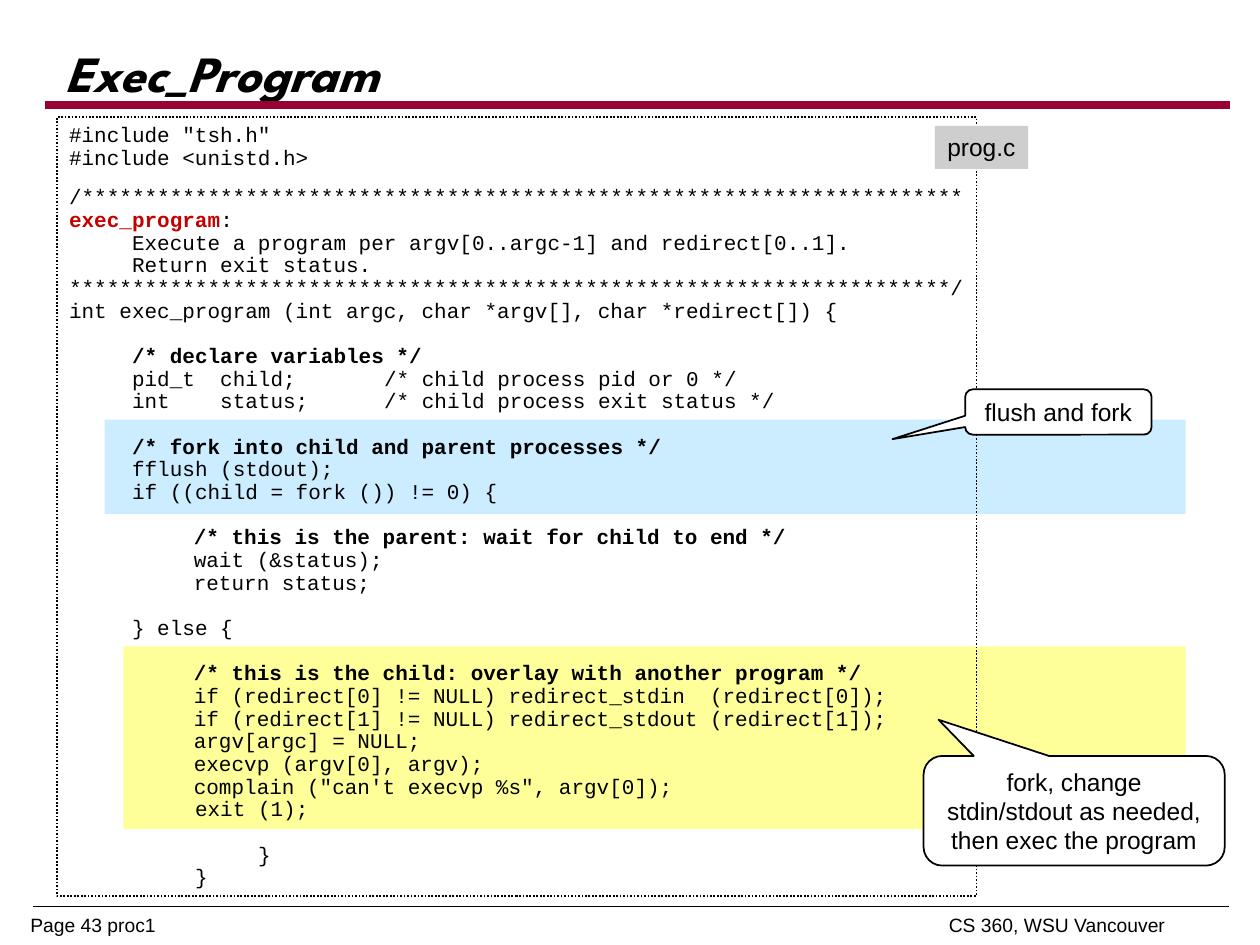
from dataclasses import dataclass

from lxml import etree
from pptx import Presentation
from pptx.dml.color import RGBColor
from pptx.enum.dml import MSO_LINE
from pptx.enum.shapes import MSO_CONNECTOR, MSO_SHAPE
from pptx.enum.text import MSO_ANCHOR, PP_ALIGN
from pptx.oxml.ns import qn
from pptx.util import Inches, Pt

BLACK = RGBColor(0x00, 0x00, 0x00)
WHITE = RGBColor(0xFF, 0xFF, 0xFF)
MAROON = RGBColor(0x99, 0x00, 0x33)
RED = RGBColor(0xC5, 0x00, 0x00)
BLUE = RGBColor(0xCC, 0xEC, 0xFF)
YELLOW = RGBColor(0xFF, 0xFF, 0x99)
GRAY = RGBColor(0xCE, 0xCE, 0xCE)

RECTANGLE = MSO_SHAPE.RECTANGLE
CALLOUT = MSO_SHAPE.ROUNDED_RECTANGULAR_CALLOUT
STRAIGHT = MSO_CONNECTOR.STRAIGHT
DOTTED = MSO_LINE.ROUND_DOT
LEFT, CENTER = PP_ALIGN.LEFT, PP_ALIGN.CENTER
TOP, MIDDLE = MSO_ANCHOR.TOP, MSO_ANCHOR.MIDDLE

CODE_TABS = (0.5, 0.99, 1.51, 2.5, 3, 4, 5)
LINE_PITCH = 12.96
SHORT_GAP = 9.75
STARS = "*" * 70


@dataclass
class Block:
    left: float
    top: float
    width: float
    height: float
    fill: RGBColor | None = None
    line: RGBColor | None = None
    shape: int = RECTANGLE
    lines: tuple[str, ...] = ()
    align: int = LEFT
    anchor: int = TOP
    tail: tuple[float, ...] = ()


@dataclass
class CodeLine:
    text: str
    bold: bool = False
    gap: float = 0
    indent: float = 0
    heading: str = ""


@dataclass
class Rule:
    left: float
    right: float
    top: float
    color: RGBColor
    weight: float


RULES = (Rule(0.26, 9.75, 7.19, BLACK, 0.25), Rule(0.36, 9.76, 0.83, MAROON, 4.5))
HIGHLIGHTS = (
    Block(0.83, 3.33, 8.58, 0.75, BLUE),
    Block(0.98, 5.13, 8.43, 1.45, YELLOW),
)
LISTING = Block(0.45, 0.93, 7.3, 6.18, line=BLACK, anchor=MIDDLE)
LABELS = (
    Block(7.42, 1, 0.74, 0.34, GRAY, lines=("prog.c",)),
    Block(7.33, 6, 2.39, 0.87, WHITE, BLACK, CALLOUT,
          ("fork, change", "stdin/stdout as needed,", "then exec the program"),
          CENTER, MIDDLE, (-0.45, -0.83, 0.17)),
    Block(7.66, 3.09, 1.48, 0.36, WHITE, BLACK, CALLOUT,
          ("flush and fork",), CENTER, MIDDLE, (-0.89, 0.6, 0.17)),
)
CODE = (
    CodeLine('#include "tsh.h"'),
    CodeLine("#include <unistd.h>"),
    CodeLine("/" + STARS, gap=SHORT_GAP),
    CodeLine(":", heading="exec_program"),
    CodeLine("\tExecute a program per argv[0..argc-1] and redirect[0..1]."),
    CodeLine("\tReturn exit status."),
    CodeLine(STARS + "/"),
    CodeLine("int exec_program (int argc, char *argv[], char *redirect[]) {"),
    CodeLine("\t/* declare variables */", bold=True, gap=LINE_PITCH),
    CodeLine("\tpid_t  child;\t/* child process pid or 0 */"),
    CodeLine("\tint    status;\t/* child process exit status */"),
    CodeLine("\t/* fork into child and parent processes */", bold=True, gap=LINE_PITCH),
    CodeLine("\tfflush (stdout);"),
    CodeLine("\tif ((child = fork ()) != 0) {"),
    CodeLine("\t\t/* this is the parent: wait for child to end */", bold=True, gap=LINE_PITCH),
    CodeLine("\t\twait (&status);"),
    CodeLine("\t\treturn status;"),
    CodeLine("\t} else {", gap=LINE_PITCH),
    CodeLine("\t\t/* this is the child: overlay with another program */", bold=True, gap=LINE_PITCH),
    CodeLine("\t\tif (redirect[0] != NULL) redirect_stdin  (redirect[0]);"),
    CodeLine("\t\tif (redirect[1] != NULL) redirect_stdout (redirect[1]);"),
    CodeLine("\t\targv[argc] = NULL;"),
    CodeLine("\t\texecvp (argv[0], argv);"),
    CodeLine("\t\tcomplain (\"can't execvp %s\", argv[0]);"),
    CodeLine("exit (1);", indent=1),
    CodeLine("\t}", gap=LINE_PITCH, indent=1),
    CodeLine("}", indent=1),
)


def set_tabs(paragraph, stops: tuple[float, ...]) -> None:
    tabs = etree.SubElement(paragraph._p.get_or_add_pPr(), qn("a:tabLst"))
    for stop in stops:
        etree.SubElement(tabs, qn("a:tab"), pos=str(Inches(stop)), algn="l")


def set_font(paragraph, name: str, size: float, bold: bool = False) -> None:
    paragraph.font.name = name
    paragraph.font.size = Pt(size)
    paragraph.font.bold = bold
    paragraph.font.color.rgb = BLACK


def next_paragraph(frame, index: int):
    return frame.add_paragraph() if index else frame.paragraphs[0]


def draw_block(page, block: Block):
    box = page.shapes.add_shape(block.shape, Inches(block.left), Inches(block.top),
                                Inches(block.width), Inches(block.height))
    box.shadow.inherit = False
    for paint, color in ((box.fill, block.fill), (box.line.fill, block.line)):
        if color is None:
            paint.background()
        else:
            paint.solid()
            paint.fore_color.rgb = color
    if block.line is not None:
        box.line.width = Pt(1)
    for index, value in enumerate(block.tail):
        box.adjustments[index] = value
    frame = box.text_frame
    frame.word_wrap = False
    frame.vertical_anchor = block.anchor
    for index, line in enumerate(block.lines):
        paragraph = next_paragraph(frame, index)
        paragraph.text = line
        paragraph.alignment = block.align
        set_font(paragraph, "Arial", 14)
    return box


def draw_listing(page) -> None:
    box = draw_block(page, LISTING)
    box.line.dash_style = DOTTED
    for index, line in enumerate(CODE):
        paragraph = next_paragraph(box.text_frame, index)
        set_tabs(paragraph, CODE_TABS)
        paragraph.alignment = LEFT
        paragraph.line_spacing = Pt(LINE_PITCH)
        if line.gap:
            paragraph.space_before = Pt(line.gap)
        if line.indent:
            properties = paragraph._p.get_or_add_pPr()
            properties.set("marL", str(Inches(line.indent)))
            properties.set("indent", "0")
        set_font(paragraph, "Courier New", 12, line.bold)
        if line.heading:
            span = paragraph.add_run()
            span.text = line.heading
            span.font.bold = True
            span.font.color.rgb = RED
        paragraph.add_run().text = line.text


def draw_rule(page, rule: Rule) -> None:
    connector = page.shapes.add_connector(STRAIGHT, Inches(rule.left), Inches(rule.top),
                                          Inches(rule.right), Inches(rule.top))
    connector.line.color.rgb = rule.color
    connector.line.width = Pt(rule.weight)
    etree.SubElement(connector._element.spPr, qn("a:effectLst"))


def draw_title(page) -> None:
    title = page.shapes.title
    title.left, title.top = Inches(0.42), Inches(0.31)
    title.width, title.height = Inches(9.57), Inches(0.6)
    title.text_frame.vertical_anchor = MIDDLE
    paragraph = title.text_frame.paragraphs[0]
    paragraph.text = "Exec_Program"
    paragraph.alignment = LEFT
    paragraph.line_spacing = 0.87
    set_font(paragraph, "League Spartan", 29, True)
    paragraph.font.italic = True


def draw_footer(page) -> None:
    box = page.shapes.add_textbox(Inches(0.24), Inches(7.26), Inches(9.39), Inches(0.24))
    frame = box.text_frame
    frame.word_wrap = True
    frame.margin_left = frame.margin_right = frame.margin_top = frame.margin_bottom = 0
    paragraph = frame.paragraphs[0]
    set_tabs(paragraph, (7.29,))
    paragraph.text = "Page 43 proc1\tCS 360, WSU Vancouver"
    paragraph.line_spacing = 0.96
    set_font(paragraph, "Arial", 11)


def main() -> None:
    deck = Presentation()
    deck.slide_width, deck.slide_height = Inches(10), Inches(7.5)
    page = deck.slides.add_slide(deck.slide_layouts[5])
    draw_footer(page)
    for rule in RULES:
        draw_rule(page, rule)
    for highlight in HIGHLIGHTS:
        draw_block(page, highlight)
    draw_listing(page)
    draw_title(page)
    for label in LABELS:
        draw_block(page, label)
    deck.save("out.pptx")


if __name__ == "__main__":
    main()
